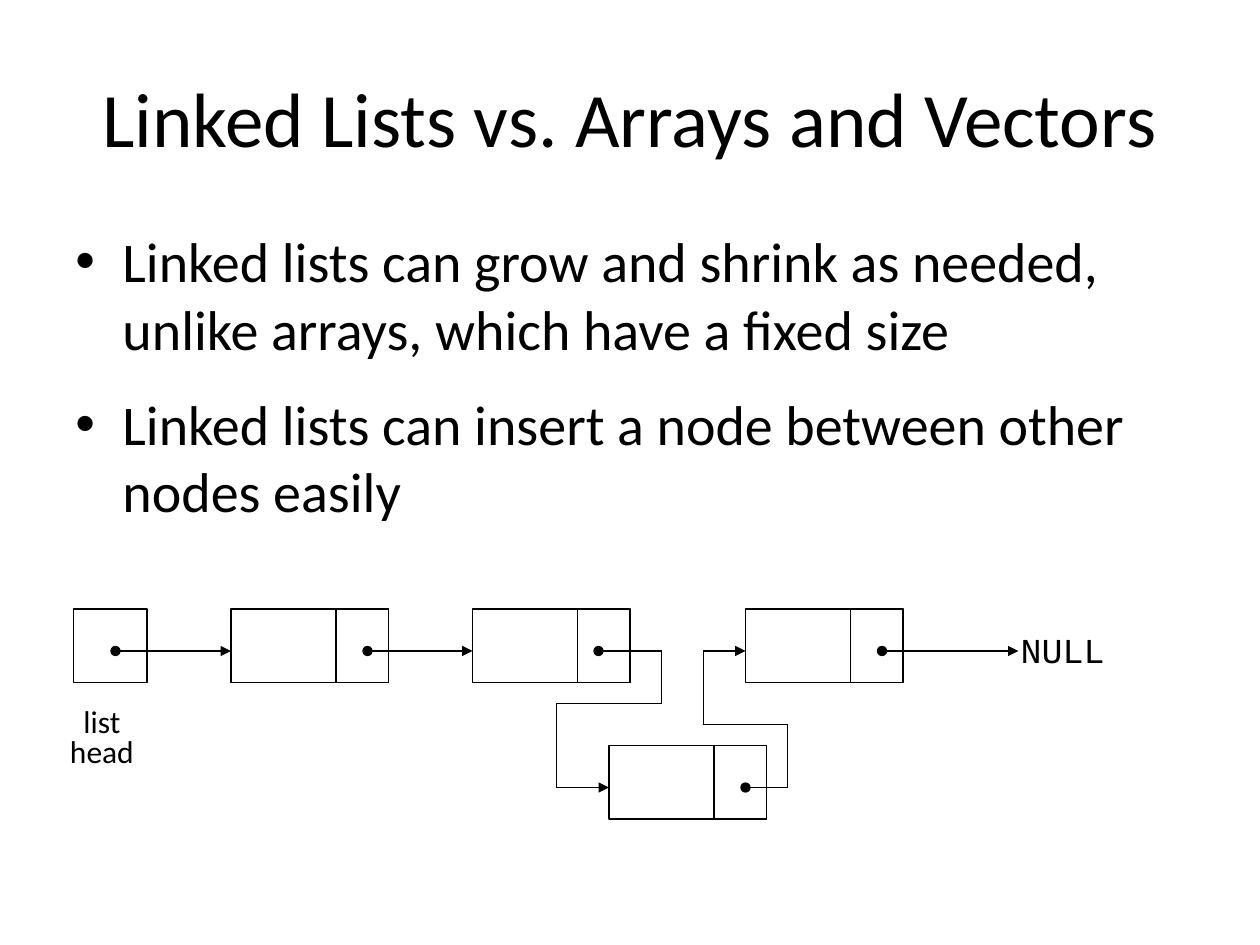
import pptx
import pptx.dml.color
import pptx.enum.shapes
import pptx.enum.text
import pptx.util
from lxml import etree
from pptx.oxml.ns import qn

Cm = pptx.util.Cm
Pt = pptx.util.Pt
ALIGN = pptx.enum.text.PP_ALIGN
ANCHOR = pptx.enum.text.MSO_ANCHOR
BLACK = pptx.dml.color.RGBColor(0, 0, 0)

# Content
TITLE = "Linked Lists vs. Arrays and Vectors"
BULLETS = [  # text, space before in points
    ("Linked lists can grow and shrink as needed, unlike arrays, which have a fixed size", 6.4),
    ("Linked lists can insert a node between other nodes easily", 16),
]
HEAD_LABEL = ["list", "head"]
END_LABEL = ["NULL"]

# Diagram, in grid units of a twelfth of an inch
GRID_CM = 2.54 / 12
CELL_HEIGHT, NODE_WIDTH, POINTER_WIDTH = 7, 15, 5
HEAD_CELL = (7, 58)
NODES = [(22, 58), (45, 58), (71, 58), (58, 71)]
POINTERS = [  # corner points from the dot to the arrowhead
    [(11, 62), (22, 62)],
    [(35, 62), (45, 62)],
    [(84, 62), (97, 62)],
    [(57, 62), (63, 62), (63, 67), (53, 67), (53, 75), (58, 75)],
    [(71, 75), (75, 75), (75, 69), (67, 69), (67, 62), (71, 62)],
]


def grid(units):
    return Cm(units * GRID_CM)


def add_text(slide, box, lines, size, font="Calibri", align=ALIGN.CENTER,
             anchor=ANCHOR.TOP, wrap=True, spacing=1.0):
    """Add a text box with one paragraph a line and return its paragraphs."""
    shape = slide.shapes.add_textbox(*(Cm(value) for value in box))
    text_frame = shape.text_frame
    text_frame.text = "\n".join(lines)
    text_frame.word_wrap = wrap
    text_frame.vertical_anchor = anchor
    for paragraph in text_frame.paragraphs:
        paragraph.alignment = align
        paragraph.line_spacing = spacing
        for run in paragraph.runs:
            run.font.name = font
            run.font.size = Pt(size)
            run.font.color.rgb = BLACK
    return text_frame.paragraphs


def add_bullet(paragraph, indent):
    properties = paragraph._p.get_or_add_pPr()
    properties.set("marL", str(indent))
    properties.set("indent", str(-indent))
    etree.SubElement(properties, qn("a:buFont"), typeface="Arial")
    etree.SubElement(properties, qn("a:buChar"), char="•")


def add_cell(slide, left, top, width):
    shape = slide.shapes.add_shape(
        pptx.enum.shapes.MSO_SHAPE.RECTANGLE,
        grid(left), grid(top), grid(width), grid(CELL_HEIGHT))
    shape.shadow.inherit = False
    shape.fill.background()
    shape.line.color.rgb = BLACK
    shape.line.width = Pt(0.75)


def add_pointer(slide, points):
    """Draw straight segments with a dot at the start and an arrow at the end."""
    last = len(points) - 2
    for index, (start, end) in enumerate(zip(points, points[1:])):
        connector = slide.shapes.add_connector(
            pptx.enum.shapes.MSO_CONNECTOR.STRAIGHT,
            *(grid(value) for value in start + end))
        connector.line.color.rgb = BLACK
        connector.line.width = Pt(0.75)
        line = connector.line._get_or_add_ln()
        if index == 0:
            etree.SubElement(line, qn("a:headEnd"), type="oval")
        if index == last:
            etree.SubElement(line, qn("a:tailEnd"), type="triangle")
        etree.SubElement(connector._element.spPr, qn("a:effectLst"))


def main():
    presentation = pptx.Presentation()
    presentation.slide_width = Cm(25.4)
    presentation.slide_height = Cm(19.05)
    slide = presentation.slides.add_slide(presentation.slide_layouts[6])

    # Title and bullets
    add_text(slide, (1.27, 0.76, 22.86, 3.18), [TITLE], 44, anchor=ANCHOR.MIDDLE)
    paragraphs = add_text(slide, (1.27, 4.45, 23.06, 7.82),
                          [text for text, _ in BULLETS], 32, align=ALIGN.LEFT)
    for paragraph, (_, space_before) in zip(paragraphs, BULLETS):
        paragraph.space_before = Pt(space_before)
        add_bullet(paragraph, Cm(0.95))

    # List head and nodes, each node with its pointer cell at the right
    add_cell(slide, *HEAD_CELL, CELL_HEIGHT)
    for left, top in NODES:
        add_cell(slide, left, top, NODE_WIDTH)
        add_cell(slide, left + NODE_WIDTH - POINTER_WIDTH, top, POINTER_WIDTH)

    # Pointers between nodes
    for points in POINTERS:
        add_pointer(slide, points)

    # Labels
    end_label = add_text(slide, (20.32, 12.37, 2.21, 1.27), END_LABEL, 20,
                         font="Courier New", wrap=False, spacing=1.2)
    end_label[0].space_before = Pt(2)
    add_text(slide, (0.86, 14.17, 2.39, 1.88), HEAD_LABEL, 18, wrap=False, spacing=0.8)

    presentation.save("out.pptx")


if __name__ == "__main__":
    main()
